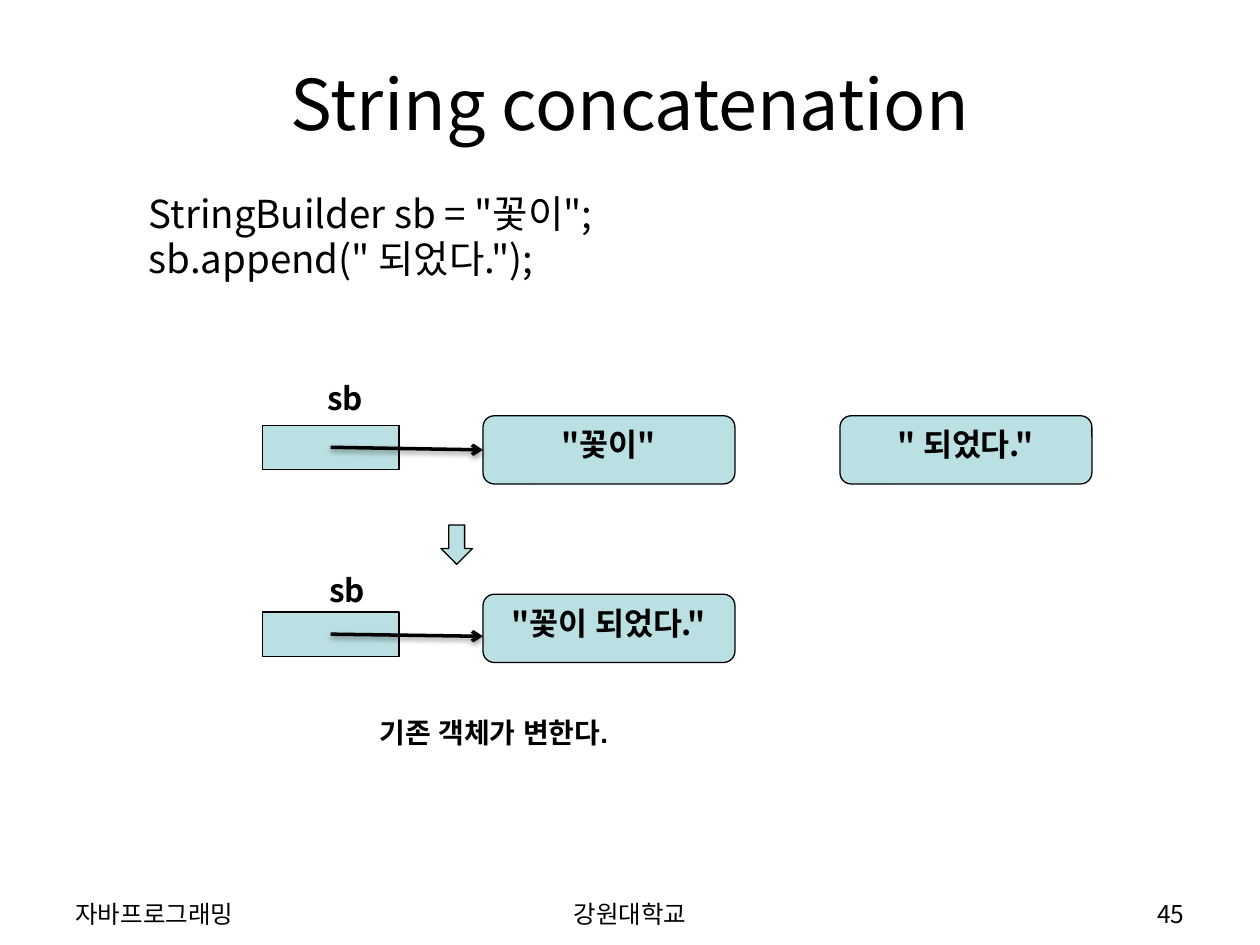
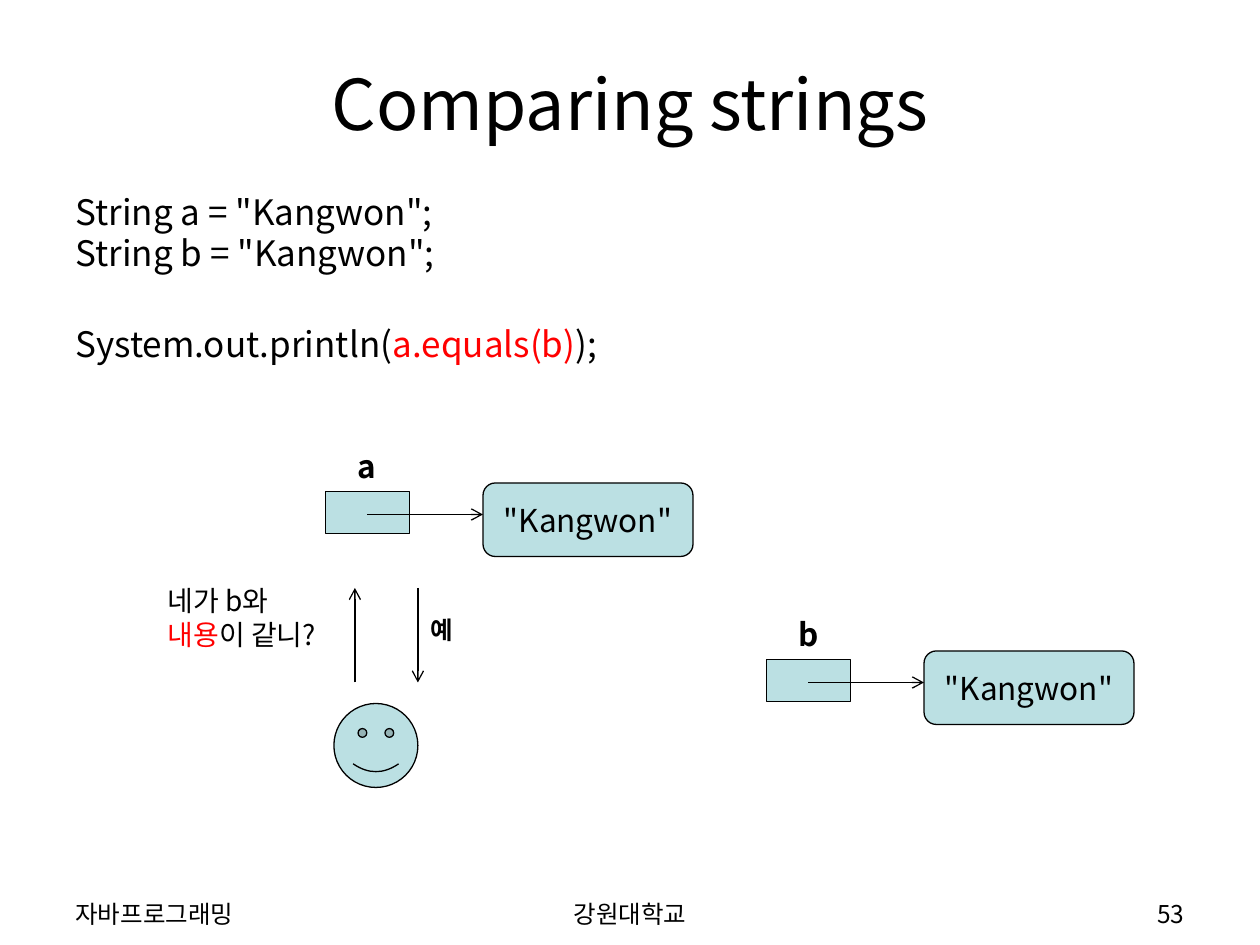
from dataclasses import dataclass

from lxml.etree import SubElement
from pptx import Presentation
from pptx.dml.color import RGBColor
from pptx.enum.shapes import MSO_CONNECTOR, MSO_SHAPE
from pptx.enum.text import MSO_ANCHOR, MSO_AUTO_SIZE, PP_ALIGN
from pptx.oxml.ns import qn
from pptx.util import Inches, Pt

COLORS = {"ink": "000000", "accent": "FF0000", "fill": "BBE0E3"}
FONT = "Noto Sans CJK KR"
COLUMNS, ROWS = 120, 90
WIDTH, HEIGHT = Inches(10), Inches(7.5)
LEFT, CENTER, RIGHT = PP_ALIGN.LEFT, PP_ALIGN.CENTER, PP_ALIGN.RIGHT


@dataclass
class ReferenceStyle:
    """Sizes of a variable with an arrow to its value, in grid cells."""
    variable: tuple
    value: tuple
    value_column: float
    arrow_row: float
    weight: float
    bold: bool
    anchor: MSO_ANCHOR
    shadow: bool


BOLD_REFERENCE = ReferenceStyle((13, 4.2), (24, 6.5), 21, 2.1, 2, True, MSO_ANCHOR.TOP, True)
THIN_REFERENCE = ReferenceStyle((8, 4), (20, 7), 15, 2.2, 0.75, False, MSO_ANCHOR.MIDDLE, False)


# Grid and text helpers
def across(columns):
    return round(WIDTH * columns / COLUMNS)


def down(rows):
    return round(HEIGHT * rows / ROWS)


def on_grid(box):
    column, row, columns, rows = box
    return across(column), down(row), across(columns), down(rows)


def write(frame, lines, size, align=LEFT, bold=False, font=FONT):
    """Each line is a string or a list of (text, color) runs."""
    for index, line in enumerate(lines):
        para = frame.paragraphs[0] if index == 0 else frame.add_paragraph()
        para.alignment = align
        for text, color in [(line, "ink")] if isinstance(line, str) else line:
            span = para.add_run()
            span.text = text
            span.font.size = Pt(size)
            span.font.bold = bold
            span.font.name = font
            span.font.color.rgb = RGBColor.from_string(COLORS[color])
            SubElement(span.font._element, qn("a:ea"), typeface=font)


def add_text(page, box, lines, size, wrap=True, **style):
    frame = page.shapes.add_textbox(*on_grid(box)).text_frame
    frame.word_wrap = wrap
    write(frame, lines, size, **style)
    return frame


def add_figure(page, kind, box):
    figure = page.shapes.add_shape(kind, *on_grid(box))
    figure.shadow.inherit = False
    figure.fill.solid()
    figure.fill.fore_color.rgb = RGBColor.from_string(COLORS["fill"])
    figure.line.color.rgb = RGBColor.from_string(COLORS["ink"])
    figure.line.width = Pt(0.75)
    return figure


def add_arrow(page, start, end, weight=0.75, shadow=False):
    arrow = page.shapes.add_connector(
        MSO_CONNECTOR.STRAIGHT,
        across(start[0]), down(start[1]), across(end[0]), down(end[1]))
    arrow.line.color.rgb = RGBColor.from_string(COLORS["ink"])
    arrow.line.width = Pt(weight)
    properties = arrow._element.spPr
    SubElement(arrow.line._get_or_add_ln(), qn("a:tailEnd"), type="arrow")
    effects = SubElement(properties, qn("a:effectLst"))
    if shadow:
        outer = SubElement(effects, qn("a:outerShdw"), blurRad=str(Pt(3.1)),
                           dist=str(Pt(1.6)), dir="5400000", rotWithShape="0")
        tint = SubElement(outer, qn("a:srgbClr"), val=COLORS["ink"])
        SubElement(tint, qn("a:alpha"), val="38000")
    return arrow


# Parts shared by the slides
def start_page(deck, title, number):
    page = deck.slides.add_slide(deck.slide_layouts[5])
    heading = page.shapes.title
    heading.left, heading.top, heading.width, heading.height = on_grid((6, 3.6, 108, 12.4))
    frame = heading.text_frame
    frame.auto_size = MSO_AUTO_SIZE.NONE
    frame.vertical_anchor = MSO_ANCHOR.MIDDLE
    write(frame, [title], 40, CENTER)

    footers = [(6, 32, "자바프로그래밍", LEFT), (41, 38, "강원대학교", CENTER),
               (86, 28, str(number), RIGHT)]
    for column, columns, text, align in footers:
        add_text(page, (column, 85, columns, 3.2), [text], 14, align=align)
    return page


def add_code(page, box, lines, size):
    frame = add_text(page, box, lines, size)
    for para in frame.paragraphs:
        para.line_spacing = 0.9
        para.space_before = Pt(size / 10)
    return frame


def add_value(page, box, text, style):
    value = add_figure(page, MSO_SHAPE.ROUNDED_RECTANGLE, box)
    value.text_frame.vertical_anchor = style.anchor
    write(value.text_frame, [text], 18, CENTER, style.bold)
    return value


def add_reference(page, origin, name, text, style, label, value_rise):
    """Place a variable at origin; label is (column, row, width) from there."""
    column, row = origin
    columns, rows = style.variable
    add_figure(page, MSO_SHAPE.RECTANGLE, (column, row, columns, rows))
    add_text(page, (column + label[0], row + label[1], label[2], 4.8),
             [name], 18, wrap=False, bold=True)

    value_left, value_top = column + style.value_column, row - value_rise
    value = add_value(page, (value_left, value_top, *style.value), text, style)
    arrow_row = row + style.arrow_row
    arrow = add_arrow(page, (column + columns / 2, arrow_row),
                      (value_left, arrow_row + (0.2 if style.shadow else 0)),
                      style.weight, style.shadow)
    if abs(value_top + style.value[1] / 2 - arrow_row) < 0.3:
        arrow.end_connect(value, 1)


# Slides
def build_concatenation(deck):
    page = start_page(deck, "String concatenation", 45)
    add_code(page, (13, 18, 101, 62.4),
             ['StringBuilder sb = "꽃이";', 'sb.append(" 되었다.");'], 22)

    # Before and after the append
    add_reference(page, (25, 40.5), "sb", '"꽃이"', BOLD_REFERENCE, (5, -5, 5.8), 0.9)
    add_value(page, (80, 39.6, *BOLD_REFERENCE.value), '" 되었다."', BOLD_REFERENCE)
    add_figure(page, MSO_SHAPE.DOWN_ARROW, (42, 50, 3, 3.75))
    add_reference(page, (25, 58.3), "sb", '"꽃이 되었다."', BOLD_REFERENCE,
                  (5.2, -4.5, 5.8), 1.7)
    add_text(page, (35, 67.6, 26, 4.4), ["기존 객체가 변한다."], 16,
             wrap=False, bold=True, font="Arial")


def build_comparison(deck):
    page = start_page(deck, "Comparing strings", 53)
    code = add_code(page, (6, 18, 108, 23), [
        'String a = "Kangwon";',
        'String b = "Kangwon";',
        [("System.out.println(", "ink"), ("a.equals(b)", "accent"), (");", "ink")],
    ], 20)
    code.paragraphs[-1].space_before = Pt(30)

    # Two variables, each with its own value
    for name, origin in (("a", (31, 46.8)), ("b", (73, 62.8))):
        add_reference(page, origin, name, '"Kangwon"', THIN_REFERENCE, (1.9, -4.8, 4.1), 0.8)

    # Question to a, and its answer
    add_figure(page, MSO_SHAPE.SMILEY_FACE, (31.8, 67, 8, 8))
    add_arrow(page, (33.8, 65), (33.8, 56))
    add_arrow(page, (39.8, 56), (39.8, 65))
    add_text(page, (14.8, 55, 18.2, 7.7),
             ["네가 b와", [("내용", "accent"), ("이 같니?", "ink")]], 16, wrap=False)
    add_text(page, (39.8, 58, 4.7, 4), ["예"], 14, wrap=False, bold=True)


def main():
    deck = Presentation()
    deck.slide_width, deck.slide_height = WIDTH, HEIGHT
    build_concatenation(deck)
    build_comparison(deck)
    deck.save("out.pptx")


if __name__ == "__main__":
    main()
